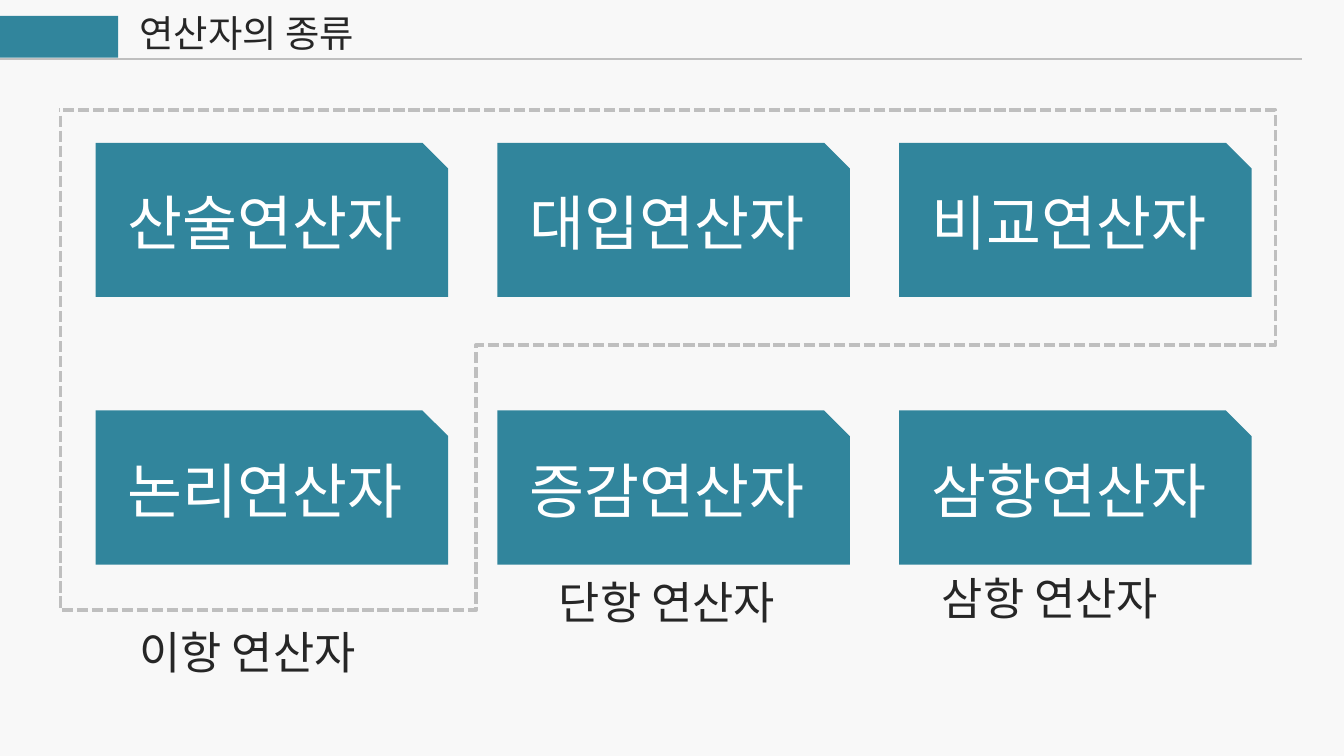
from pptx import Presentation
from pptx.dml.color import RGBColor
from pptx.enum import dml, shapes, text
from pptx.oxml.ns import qn
from pptx.util import Pt
from lxml import etree

FONT = "Noto Sans CJK KR"
TEAL = RGBColor(0x31, 0x85, 0x9C)
GRAY = RGBColor(0xBF, 0xBF, 0xBF)
DARK = RGBColor(0x26, 0x26, 0x26)
WHITE = RGBColor(0xFF, 0xFF, 0xFF)
PAPER = RGBColor(0xF8, 0xF8, 0xF8)

CARDS = [
    ["산술연산자", "대입연산자", "비교연산자"],
    ["논리연산자", "증감연산자", "삼항연산자"],
]


def add_run(p, words, size, color):
    r = p.add_run()
    r.text = words
    r.font.name = FONT
    r.font.size = Pt(size)
    r.font.color.rgb = color
    # Hangul is drawn with the East Asian typeface
    etree.SubElement(r.font._element, qn("a:ea"), typeface=FONT)


def add_label(s, words, size, x, y, w, h):
    tf = s.shapes.add_textbox(Pt(x), Pt(y), Pt(w), Pt(h)).text_frame
    tf.word_wrap = True
    tf.auto_size = text.MSO_AUTO_SIZE.SHAPE_TO_FIT_TEXT
    add_run(tf.paragraphs[0], words, size, DARK)


def add_block(s, kind, x, y, w, h):
    sp = s.shapes.add_shape(kind, Pt(x), Pt(y), Pt(w), Pt(h))
    sp.shadow.inherit = False
    sp.fill.solid()
    sp.fill.fore_color.rgb = TEAL
    sp.line.fill.background()
    return sp


def add_header(s, title, x, y, w, h):
    add_label(s, title, 20, x + 68.4, y - 6.5, 156, 32)
    add_block(s, shapes.MSO_SHAPE.RECTANGLE, x, y, 64, h)
    rule = s.shapes.add_connector(
        shapes.MSO_CONNECTOR.STRAIGHT, Pt(x), Pt(y + h + 0.4), Pt(x + w), Pt(y + h + 0.4))
    rule.line.color.rgb = GRAY
    rule.line.width = Pt(1)
    etree.SubElement(rule._element.spPr, qn("a:effectLst"))


def add_card(s, words, x, y, w, h):
    tf = add_block(s, shapes.MSO_SHAPE.SNIP_1_RECTANGLE, x, y, w, h).text_frame
    tf.word_wrap = True
    tf.vertical_anchor = text.MSO_ANCHOR.MIDDLE
    tf.margin_left = tf.margin_right = tf.margin_top = tf.margin_bottom = Pt(10.8)
    p = tf.paragraphs[0]
    p.alignment = text.PP_ALIGN.CENTER
    p.line_spacing = 0.9
    add_run(p, words, 32, WHITE)


def add_cards(s, x, y, w, h):
    card_w, card_h = 188.8, 82.6
    step_x = (w - card_w) / (len(CARDS[0]) - 1)
    step_y = (h - card_h) / (len(CARDS) - 1)
    for i, row in enumerate(CARDS):
        for j, words in enumerate(row):
            add_card(s, words, x + j * step_x, y + i * step_y, card_w, card_h)


def add_binary_outline(s, x, y, w, h):
    """Dashed L-shaped border around the top row and the first card below."""
    notch_x, notch_y = x + 222.5, y + 126
    right, bottom = x + w, y + h
    fb = s.shapes.build_freeform(Pt(x), Pt(y + 3), scale=1.0)
    corners = [(x, bottom), (notch_x, bottom), (notch_x, notch_y),
               (right, notch_y), (right, y), (x - 1, y)]
    fb.add_line_segments([(Pt(a), Pt(b)) for a, b in corners], close=False)
    sp = fb.convert_to_shape()
    sp.shadow.inherit = False
    sp.fill.background()
    sp.line.color.rgb = GRAY
    sp.line.width = Pt(2)
    sp.line.dash_style = dml.MSO_LINE.SQUARE_DOT


def main():
    prs = Presentation()
    prs.slide_width, prs.slide_height = Pt(720), Pt(405)
    s = prs.slides.add_slide(prs.slide_layouts[6])
    s.background.fill.solid()
    s.background.fill.fore_color.rgb = PAPER

    add_header(s, "연산자의 종류", -0.7, 8.6, 698, 22.4)
    add_cards(s, 51.3, 76.5, 619.2, 226)
    add_binary_outline(s, 32.5, 59, 650.8, 268)
    for words, x, y in [("이항 연산자", 67.7, 331.2),
                        ("단항 연산자", 292.3, 304.6),
                        ("삼항 연산자", 497.5, 302.4)]:
        add_label(s, words, 24, x, y, 141, 36)
    prs.save("out.pptx")


if __name__ == "__main__":
    main()
